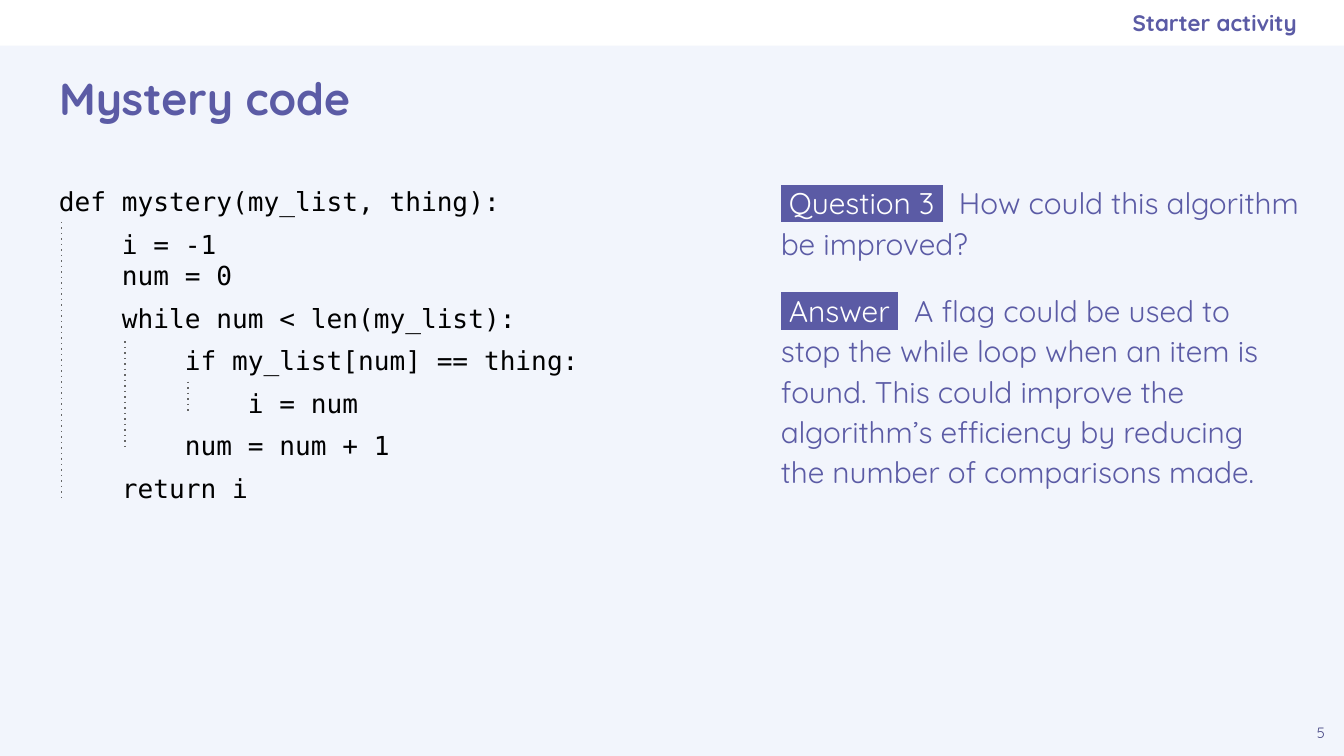
from lxml.etree import SubElement
from pptx import Presentation
from pptx.dml.color import RGBColor
from pptx.enum.shapes import MSO_CONNECTOR, MSO_SHAPE
from pptx.enum.text import MSO_ANCHOR, MSO_AUTO_SIZE, PP_ALIGN
from pptx.oxml.ns import qn
from pptx.util import Inches, Pt

HUES = {"page": "F2F5FC", "white": "FFFFFF", "brand": "5B5BA5",
        "number": "494985", "code": "000000", "guide": "666666"}
SANS, MONO = "Quicksand", "DejaVu Sans Mono"

TITLE, TOPIC, NUMBER = "Mystery code", "Starter activity", "5"
# Each line of code with the space before it in points
CODE = [
    ("def mystery(my_list, thing):", 0),
    ("    i = -1", 6),
    ("    num = 0", 0),
    ("    while num < len(my_list):", 6),
    ("        if my_list[num] == thing:", 6),
    ("            i = num", 6),
    ("        num = num + 1", 6),
    ("    return i", 6),
]
# Top and bottom of the guide at each indent depth
GUIDES = [(1.65, 3.73), (2.54, 3.35), (2.84, 3.07)]
# Label, text, top, width, height
NOTES = [
    ("Question 3", "How could this algorithm be improved?", 1.28, 4, 0.69),
    ("Answer", "A flag could be used to stop the while loop when an item is "
     "found. This could improve the algorithm’s efficiency by reducing the "
     "number of comparisons made.", 2.08, 3.9, 1.61),
]

WIDE = 10
HIGH = WIDE * 9 / 16
EDGE = 0.34            # side margin, also the height of the top band
RIGHT = 5.75           # left side of the right column
TOP = 1.28             # top of the body
INDENT = 0.47          # width of four characters of code


def hue(name):
    return RGBColor.from_string(HUES[name])


def place(shape, *box):
    shape.left, shape.top, shape.width, shape.height = map(Inches, box)


def set_frame(shape, pad=0.1, anchor=MSO_ANCHOR.TOP):
    frame = shape.text_frame
    frame.word_wrap = True
    frame.auto_size = MSO_AUTO_SIZE.NONE
    frame.vertical_anchor = anchor
    frame.margin_left = frame.margin_right = Inches(pad)
    frame.margin_top = frame.margin_bottom = Inches(pad)
    return frame


def style(font, size, color, name=SANS, bold=False):
    font.size, font.name, font.bold = Pt(size), name, bold
    font.color.rgb = hue(color)


def add_box(slide, *box, **opts):
    return set_frame(slide.shapes.add_textbox(*map(Inches, box)), **opts)


def add_guide(slide, x, top, end):
    line = slide.shapes.add_connector(
        MSO_CONNECTOR.STRAIGHT, *map(Inches, (x, top, x, end)))
    line.line.color.rgb = hue("guide")
    line.line.width = Pt(0.75)
    props = line._element.spPr
    SubElement(props.find(qn("a:ln")), qn("a:prstDash"), val="dot")
    SubElement(props, qn("a:effectLst"))


def mark(run, color):
    """Highlight a run whose text colour is set but whose font is not."""
    glow = SubElement(run._r.get_or_add_rPr(), qn("a:highlight"))
    SubElement(glow, qn("a:srgbClr"), val=HUES[color])


def add_note(slide, label, text, top, width, height):
    para = add_box(slide, RIGHT, top, width, height, pad=0.06).paragraphs[0]
    para.line_spacing = 1.13
    style(para.font, 16, "brand")
    tag, body = para.add_run(), para.add_run()
    tag.text, body.text = f" {label} ", f"  {text}"
    tag.font.color.rgb = hue("white")
    mark(tag, "brand")


def add_head(slide):
    band = slide.shapes.add_shape(
        MSO_SHAPE.RECTANGLE, 0, 0, Inches(WIDE), Inches(EDGE))
    band.shadow.inherit = False
    band.fill.solid()
    band.fill.fore_color.rgb = hue("white")
    band.line.fill.background()

    title = slide.shapes.title
    place(title, EDGE, EDGE, WIDE - 2 * EDGE, 0.77)
    para = set_frame(title, anchor=MSO_ANCHOR.MIDDLE).paragraphs[0]
    para.text, para.alignment = TITLE, PP_ALIGN.LEFT
    style(para.font, 24, "brand", bold=True)

    frame = add_box(slide, RIGHT, 0, 3.9, EDGE, anchor=MSO_ANCHOR.MIDDLE)
    frame.margin_right = 0
    para = frame.paragraphs[0]
    para.text, para.alignment = TOPIC, PP_ALIGN.RIGHT
    style(para.font, 12, "brand", bold=True)


def add_code(slide):
    for depth, (top, end) in enumerate(GUIDES):
        add_guide(slide, 0.46 + depth * INDENT, top, end)
    frame = add_box(slide, EDGE, TOP, 4.84, 4)
    for row, (text, gap) in enumerate(CODE):
        para = frame.add_paragraph() if row else frame.paragraphs[0]
        para.text = text
        if gap:
            para.space_before = Pt(gap)
        style(para.font, 14, "code", MONO)


def main():
    deck = Presentation()
    deck.slide_width, deck.slide_height = Inches(WIDE), Inches(HIGH)
    slide = deck.slides.add_slide(deck.slide_layouts[5])
    slide.background.fill.solid()
    slide.background.fill.fore_color.rgb = hue("page")

    add_head(slide)
    add_code(slide)
    for note in NOTES:
        add_note(slide, *note)
    para = add_box(slide, WIDE - EDGE, HIGH - EDGE, EDGE, EDGE).paragraphs[0]
    para.text, para.alignment = NUMBER, PP_ALIGN.CENTER
    style(para.font, 8, "number")
    deck.save("out.pptx")


if __name__ == "__main__":
    main()
